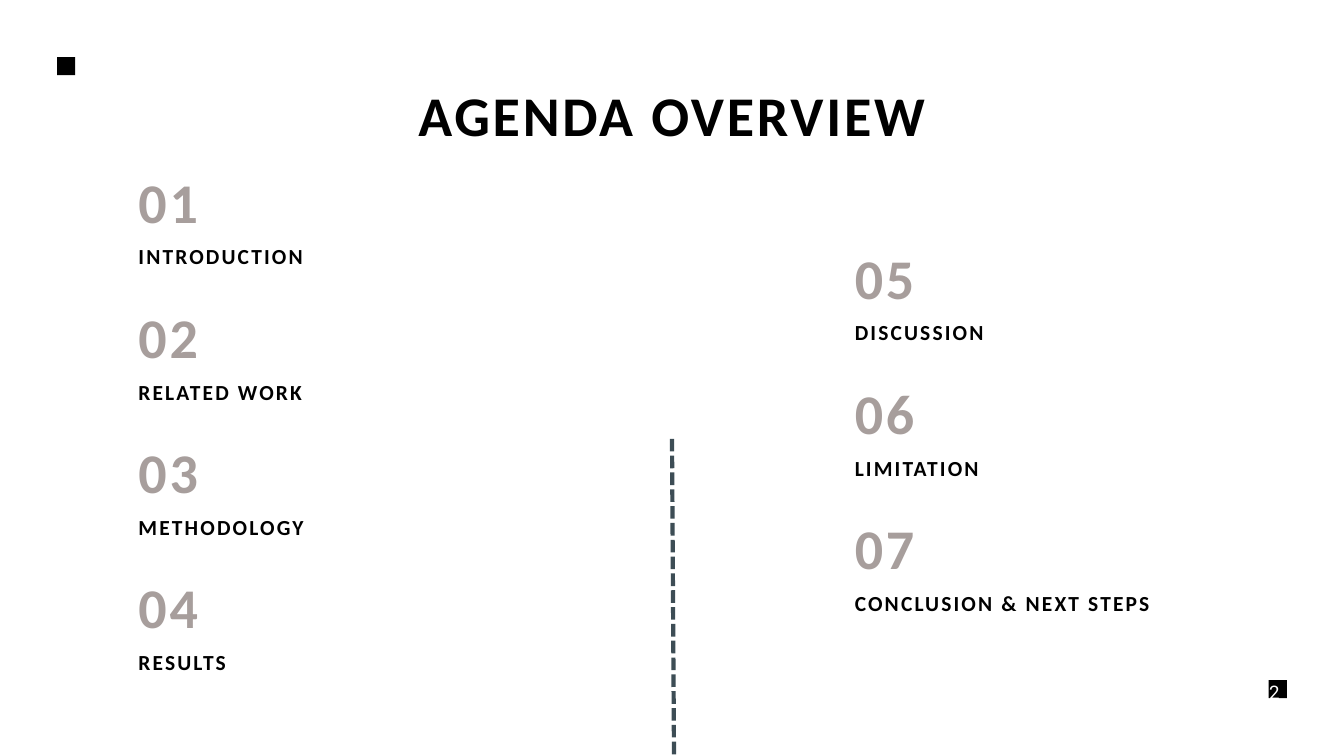
from dataclasses import dataclass

from lxml import etree
from pptx import Presentation
from pptx.dml.color import RGBColor
from pptx.enum.dml import MSO_LINE
from pptx.enum.shapes import MSO_CONNECTOR, MSO_SHAPE
from pptx.enum.text import MSO_AUTO_SIZE, PP_ALIGN
from pptx.oxml.ns import qn
from pptx.slide import Slide
from pptx.util import Pt

PX = 9144
BLACK = RGBColor(0x00, 0x00, 0x00)
WHITE = RGBColor(0xFF, 0xFF, 0xFF)
TAUPE = RGBColor(0xA7, 0x9E, 0x9C)
SLATE = RGBColor(0x3D, 0x4D, 0x55)
LEFT, CENTER = PP_ALIGN.LEFT, PP_ALIGN.CENTER
GROW = MSO_AUTO_SIZE.SHAPE_TO_FIT_TEXT
DASH = MSO_LINE.SQUARE_DOT
STRAIGHT = MSO_CONNECTOR.STRAIGHT
RECT = MSO_SHAPE.RECTANGLE

STEP = 201
DROP = 123
WIDTH = 522
SIDE = 27


@dataclass(frozen=True)
class Style:
    size: int
    lead: float
    color: RGBColor
    font: str = "Calibri"
    bold: bool = True
    track: int = 0
    align: PP_ALIGN = LEFT
    wrap: bool = True


@dataclass(frozen=True)
class Column:
    left: int
    top: int
    first: int
    topics: tuple[str, ...]


TITLE = Style(60, 84, BLACK, track=300, align=CENTER)
NUMBER = Style(60, 84, TAUPE, track=300)
TOPIC = Style(23, 32.2, BLACK, track=230)
PAGE = Style(20, 28, WHITE, "Roboto", False, align=CENTER, wrap=False)

COLUMNS = (
    Column(206, 233, 1, ("INTRODUCTION", "RELATED WORK", "METHODOLOGY", "RESULTS")),
    Column(1272, 346, 5, ("DISCUSSION", "LIMITATION", "CONCLUSION & NEXT STEPS")),
)


def add_text(slide: Slide, text: str, left: int, top: int, width: int,
             height: int, style: Style) -> None:
    box = slide.shapes.add_textbox(left * PX, top * PX, width * PX, height * PX)
    frame = box.text_frame
    frame.margin_left = frame.margin_top = 0
    frame.margin_right = frame.margin_bottom = 0
    frame.word_wrap = style.wrap
    frame.auto_size = GROW
    frame.text = text
    para = frame.paragraphs[0]
    para.alignment = style.align
    para.line_spacing = Pt(style.lead)
    run = para.runs[0]
    run.font.name = style.font
    run.font.size = Pt(style.size)
    run.font.bold = style.bold
    run.font.color.rgb = style.color
    if style.track:
        run._r.get_or_add_rPr().set("spc", str(style.track))


def add_column(slide: Slide, column: Column) -> None:
    for row, topic in enumerate(column.topics):
        top = column.top + row * STEP
        number = f"{column.first + row:02d}"
        add_text(slide, number, column.left, top, WIDTH, 118, NUMBER)
        add_text(slide, topic, column.left, top + DROP, WIDTH, 45, TOPIC)


def add_square(slide: Slide, left: int, top: int) -> None:
    square = slide.shapes.add_shape(RECT, left * PX, top * PX, SIDE * PX, SIDE * PX)
    square.shadow.inherit = False
    square.fill.solid()
    square.fill.fore_color.rgb = BLACK
    square.line.fill.background()


def add_divider(slide: Slide) -> None:
    line = slide.shapes.add_connector(
        STRAIGHT, 1000 * PX, 653 * PX, 1003 * PX, 1125 * PX)
    line.line.color.rgb = SLATE
    line.line.width = Pt(4.5)
    line.line.dash_style = DASH
    etree.SubElement(line._element.spPr, qn("a:effectLst"))


def main() -> None:
    deck = Presentation()
    deck.slide_width = 2000 * PX
    deck.slide_height = 1125 * PX
    slide = deck.slides.add_slide(deck.slide_layouts[6])
    slide.background.fill.solid()
    slide.background.fill.fore_color.rgb = WHITE
    add_text(slide, "AGENDA OVERVIEW", 206, 103, 1588, 118, TITLE)
    for column in COLUMNS:
        add_column(slide, column)
    add_divider(slide)
    add_square(slide, 1888, 1012)
    add_square(slide, 85, 85)
    add_text(slide, "2", 1888, 1007, 17, 22, PAGE)
    deck.save("out.pptx")


if __name__ == "__main__":
    main()
